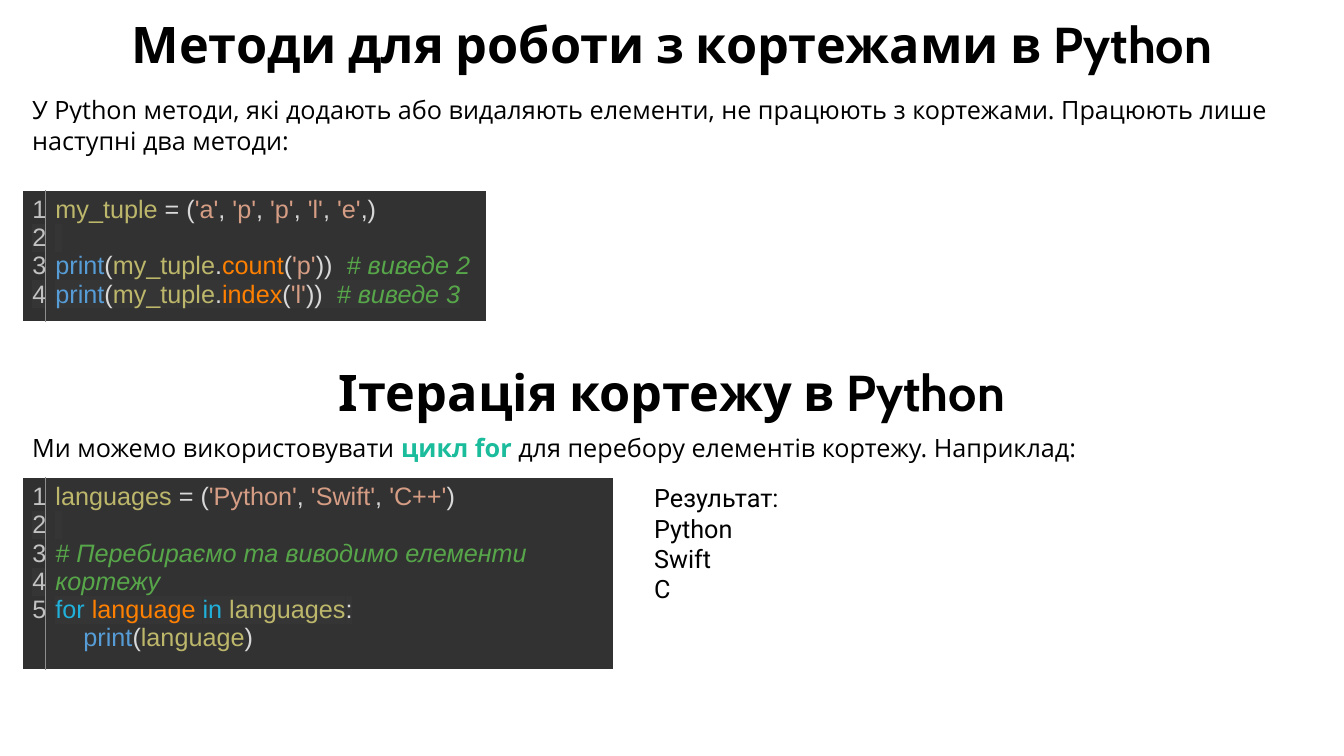
import pptx
import pptx.util
import pptx.dml.color
import pptx.enum.text
import pptx.oxml
import pptx.oxml.ns

INCH = pptx.util.Inches
PT = pptx.util.Pt
ALIGN = pptx.enum.text.PP_ALIGN
WIDE, HIGH = 13.33, 7.5
EDGE = 0.22
GUTTER = 0.23
BLACK, WHITE, GREEN = "000000", "FFFFFF", "1ABC9C"
GREY, RULE, DARK, PANEL, BAND = "C2C2C2", "8C8D8F", "303030", "323232", "353535"
INK = {
    "name": "BDB76B", "sign": "DADADA", "mark": "D8D8D8", "text": "D69D85",
    "call": "569CD6", "part": "FF8000", "word": "20B0DA", "note": "57A64A",
    "gap": "006FE0",
}

COUNT = [
    [("my_tuple ", "name"), ("= ", "sign"), ("(", "mark"), ("'a'", "text"),
     (", ", "mark"), ("'p'", "text"), (", ", "mark"), ("'p'", "text"),
     (", ", "mark"), ("'l'", "text"), (", ", "mark"), ("'e'", "text"), (",)", "mark")],
    [(" ", "gap")],
    [("print", "call"), ("(", "mark"), ("my_tuple", "name"), (".", "mark"),
     ("count", "part"), ("(", "mark"), ("'p'", "text"), ("))  ", "mark"),
     ("# виведе 2", "note")],
    [("print", "call"), ("(", "mark"), ("my_tuple", "name"), (".", "mark"),
     ("index", "part"), ("(", "mark"), ("'l'", "text"), ("))  ", "mark"),
     ("# виведе 3", "note")],
]
LOOP = [
    [("languages ", "name"), ("= ", "sign"), ("(", "mark"), ("'Python'", "text"),
     (", ", "mark"), ("'Swift'", "text"), (", ", "mark"), ("'C++'", "text"), (")", "mark")],
    [(" ", "gap")],
    [("# Перебираємо та виводимо елементи кортежу", "note")],
    [("for", "word"), (" ", "gap"), ("language ", "part"), ("in", "word"),
     (" ", "gap"), ("languages", "name"), (":", "sign")],
    [("    ", "gap"), ("print", "call"), ("(", "mark"), ("language", "name"), (")", "mark")],
]


def tint(code):
    return pptx.dml.color.RGBColor.from_string(code)


def mark(run, code):
    fill = run.font.fill._xPr.find(pptx.oxml.ns.qn("a:solidFill"))
    fill.addnext(pptx.oxml.parse_xml(
        f'<a:highlight {pptx.oxml.ns.nsdecls("a")}><a:srgbClr val="{code}"/></a:highlight>'))


def write(frame, lines, face, size, align=ALIGN.LEFT, bold=False):
    for row, runs in enumerate(lines):
        para = frame.paragraphs[0] if row == 0 else frame.add_paragraph()
        para.alignment = align
        para.font.name = face
        para.font.size = PT(size)
        para.font.bold = bold
        for text, code, *back in runs:
            run = para.add_run()
            run.text = text
            run.font.color.rgb = tint(code)
            if code == GREEN:
                run.font.bold = True
            if code == INK["note"]:
                run.font.italic = True
            if back:
                mark(run, back[0])


def label(slide, box, lines, face, size=18, **style):
    frame = slide.shapes.add_textbox(*map(INCH, box)).text_frame
    frame.word_wrap = True
    write(frame, lines, face, size, **style)


def border(cell, side):
    cell._tc.get_or_add_tcPr().insert(0, pptx.oxml.parse_xml(
        f'<a:{side} {pptx.oxml.ns.nsdecls("a")} w="{PT(0.6)}"><a:solidFill>'
        f'<a:srgbClr val="{RULE}"/></a:solidFill></a:{side}>'))


def listing(slide, box, code):
    table = slide.shapes.add_table(1, 2, *map(INCH, box)).table
    table.first_row = table.horz_banding = False
    table.columns[0].width = INCH(GUTTER)
    table.columns[1].width = INCH(box[2] - GUTTER)
    count, body = table.cell(0, 0), table.cell(0, 1)
    for cell, back, side in ((count, DARK, "lnR"), (body, PANEL, "lnL")):
        cell.fill.solid()
        cell.fill.fore_color.rgb = tint(back)
        cell.margin_left = INCH(0.1)
        cell.margin_right = 0
        border(cell, side)
    numbers = [[(str(row + 1), GREY, BAND if row % 2 else DARK)]
               for row in range(len(code))]
    lines = [[(text, INK[kind]) + ((BAND,) if row % 2 else ()) for text, kind in runs]
             for row, runs in enumerate(code)]
    write(count.text_frame, numbers, "Arial", 18, align=ALIGN.CENTER)
    write(body.text_frame, lines, "Arial", 18)


def section(slide, top, title, intro, code, drop, gap, size):
    label(slide, (0, top, WIDE, 0.71), [[(title, BLACK, WHITE)]], "Cabin", 36,
          align=ALIGN.CENTER, bold=True)
    label(slide, (EDGE, top + drop, WIDE - 2 * EDGE, gap), [intro], "Open Sans")
    listing(slide, (EDGE, top + drop + gap, *size), code)


def result(slide, box, lines):
    label(slide, box, [[(line, BLACK)] for line in lines], "Roboto")


def main():
    deck = pptx.Presentation()
    deck.slide_width, deck.slide_height = INCH(WIDE), INCH(HIGH)
    slide = deck.slides.add_slide(deck.slide_layouts[6])
    section(slide, 0.08, "Методи для роботи з кортежами в Python",
            [("У Python методи, які додають або видаляють елементи, не працюють "
              "з кортежами. Працюють лише наступні два методи:", BLACK, WHITE)],
            COUNT, 0.81, 1, (4.61, 1.3))
    section(slide, 3.53, "Ітерація кортежу в Python",
            [("Ми можемо використовувати ", BLACK, WHITE), ("цикл for", GREEN, WHITE),
             (" для перебору елементів кортежу. Наприклад:", BLACK, WHITE)],
            LOOP, 0.71, 0.5, (5.87, 1.9))
    result(slide, (6.39, 4.74, 6.67, 1.31), ["Результат:", "Python", "Swift", "C"])
    deck.save("out.pptx")


if __name__ == "__main__":
    main()
